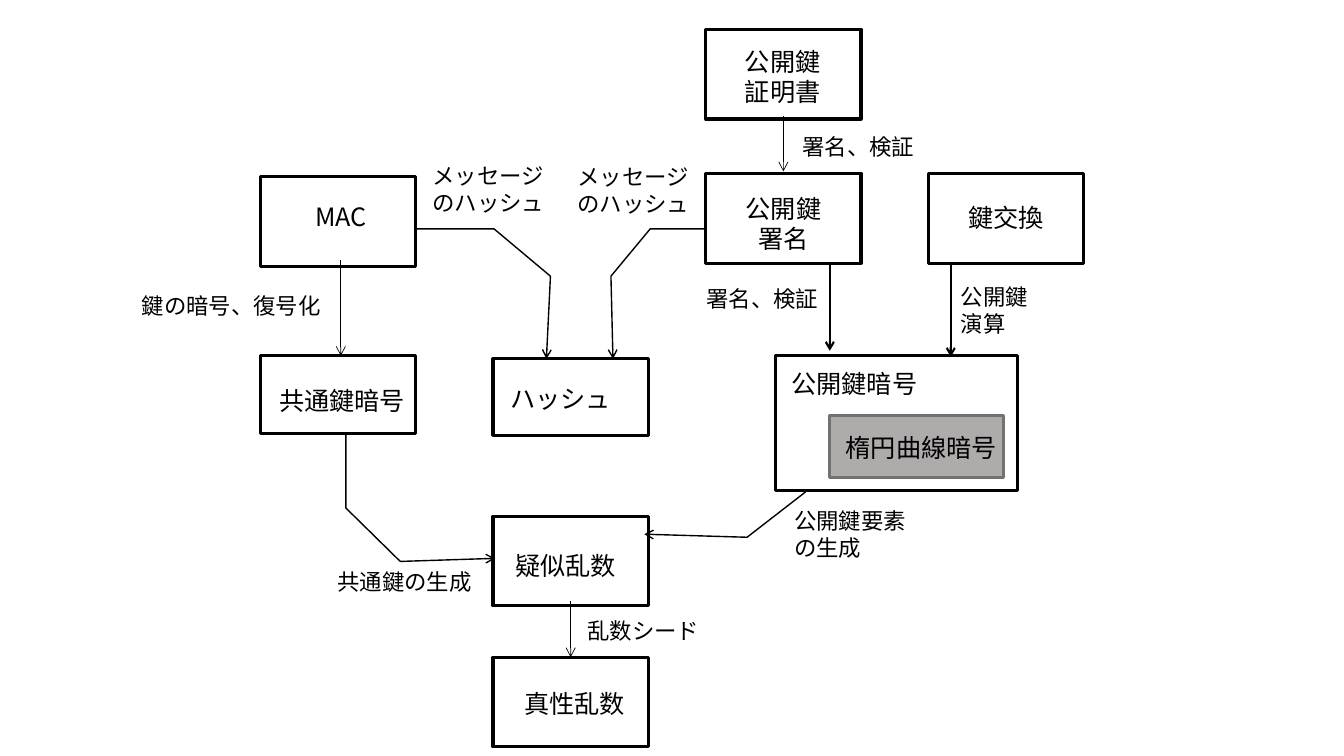
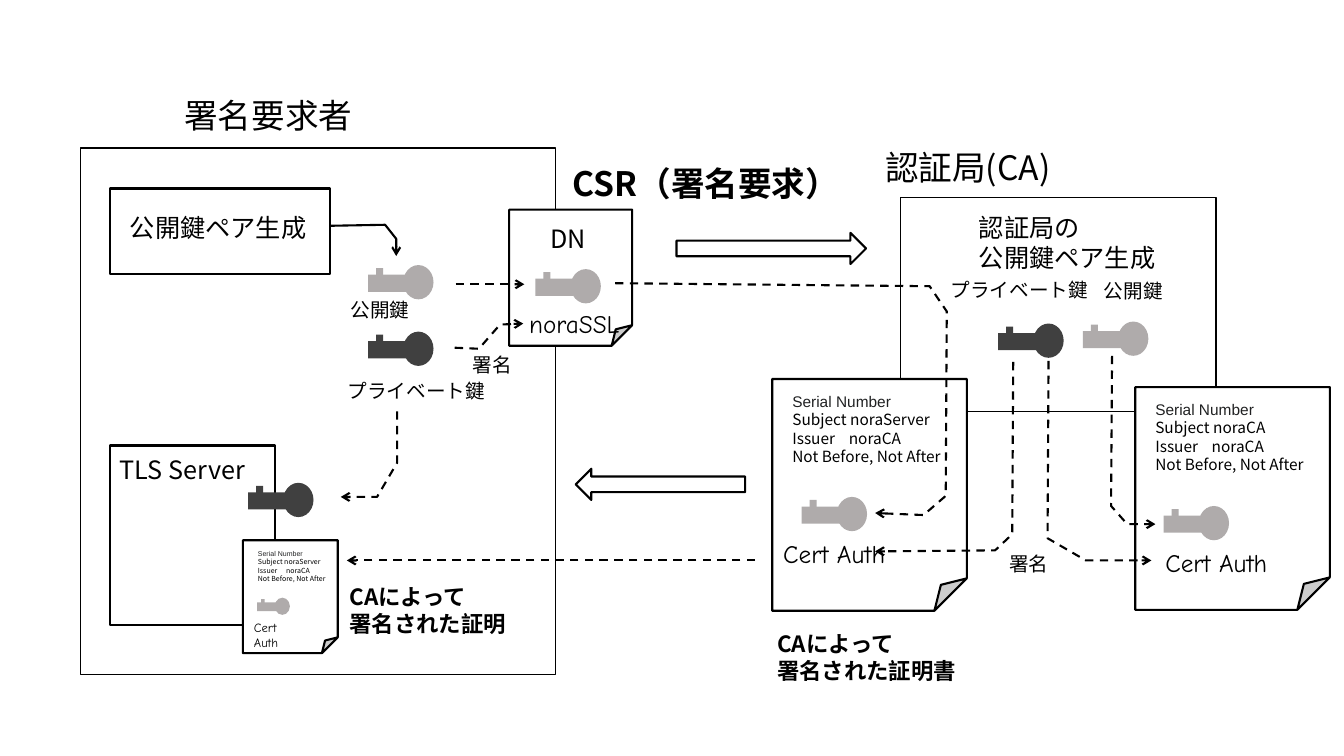
from lxml import etree
from pptx import Presentation
from pptx.dml.color import RGBColor
from pptx.enum.dml import MSO_LINE
from pptx.enum.shapes import MSO_CONNECTOR, MSO_SHAPE
from pptx.enum.text import MSO_AUTO_SIZE, PP_ALIGN
from pptx.oxml.ns import qn
from pptx.util import Pt

PX = 9144  # EMU per px, 100 px to the inch
BLACK, WHITE, INK = "000000", "FFFFFF", "202122"
PUBLIC, PRIVATE, GREY_EDGE = "AFABAB", "404040", "767171"
SANS, HAND, ARIAL = "Noto Sans CJK JP", "Comic Neue", "Arial"
RECT, OVAL, FOLDED = MSO_SHAPE.RECTANGLE, MSO_SHAPE.OVAL, MSO_SHAPE.FOLDED_CORNER
RIGHT_ARROW, LEFT_ARROW = MSO_SHAPE.RIGHT_ARROW, MSO_SHAPE.LEFT_ARROW
STRAIGHT, DASH = MSO_CONNECTOR.STRAIGHT, MSO_LINE.DASH
LEFT, CENTER = PP_ALIGN.LEFT, PP_ALIGN.CENTER
GROW = MSO_AUTO_SIZE.SHAPE_TO_FIT_TEXT


def px(*values):
    return [round(v * PX) for v in values]


def rgb(value):
    return RGBColor.from_string(value)


def shape(shapes, kind, rect, fill=WHITE, line=BLACK, width=1.5):
    sp = shapes.add_shape(kind, *px(*rect))
    sp.shadow.inherit = False
    sp.fill.solid()
    sp.fill.fore_color.rgb = rgb(fill)
    if line:
        sp.line.color.rgb = rgb(line)
        sp.line.width = Pt(width)
    else:
        sp.line.fill.background()
    return sp


def arrow(shapes, points, width=1.5, dash=None):
    """Draw an arrow through the points: a connector if straight, else a freeform."""
    if len(points) == 2:
        sp = shapes.add_connector(STRAIGHT, *px(*points[0], *points[1]))
    else:
        builder = shapes.build_freeform(*points[0], scale=PX)
        builder.add_line_segments(points[1:], close=False)
        sp = builder.convert_to_shape()
        sp.fill.background()
    sp.line.color.rgb = rgb(BLACK)
    sp.line.width = Pt(width)
    if dash:
        sp.line.dash_style = dash
    etree.SubElement(sp.line._get_or_add_ln(), qn("a:tailEnd"), type="arrow")
    etree.SubElement(sp._element.spPr, qn("a:effectLst"))


def text(shapes, at, content, size=18, font=SANS, bold=False, align=LEFT, wrap=False):
    """Add text at (left, top, width), one paragraph per line of content."""
    lines = content.split("\n")
    height = 10 + len(lines) * size * 1.2 / 0.72
    tf = shapes.add_textbox(*px(*at, height)).text_frame
    tf.word_wrap = wrap
    tf.auto_size = GROW
    for i, line in enumerate(lines):
        p = tf.add_paragraph() if i else tf.paragraphs[0]
        p.alignment = align
        p.line_spacing = Pt(size * 1.2)
        r = p.add_run()
        r.text = line
        r.font.color.rgb = rgb(BLACK)
        for name, value in {"size": Pt(size), "name": font, "bold": bold}.items():
            setattr(r.font, name, value)
        etree.SubElement(r._r.get_or_add_rPr(), qn("a:ea"), typeface=font)
    return tf


def key(shapes, x, y, color, scale=1):
    group = shapes.add_group_shape().shapes
    parts = ((OVAL, 35, 0, 30, 34), (RECT, 0, 9.5, 38, 17), (RECT, 8, 3, 7, 10))
    for kind, dx, dy, w, h in parts:
        rect = (x + dx * scale, y + dy * scale, w * scale, h * scale)
        shape(group, kind, rect, color, None)


def certificate(shapes, rect, key_at, sign_at, subject, scale=1):
    shape(shapes, FOLDED, rect)
    key(shapes, *key_at, PUBLIC, scale)
    text(shapes, (*sign_at, 130 * scale), "Cert Auth", int(18 * scale), HAND, wrap=True)
    details = f"Serial Number\nSubject {subject}\nIssuer\tnoraCA\nNot Before, Not After"
    at = (rect[0] + 10 * scale, rect[1] + 8 * scale, 185 * scale)
    tf = text(shapes, at, details, int(11 * scale), wrap=True)
    serial, issuer = tf.paragraphs[0].runs[0].font, tf.paragraphs[2]
    serial.name = ARIAL
    serial.color.rgb = rgb(INK)
    tabs = etree.SubElement(issuer._p.get_or_add_pPr(), qn("a:tabLst"))
    etree.SubElement(tabs, qn("a:tab"), pos=str(px(56 * scale)[0]), algn="l")


def crypto_elements(shapes):
    boxes = (
        (258, 175, 154, 89), (258, 353, 154, 77), (489, 512, 154, 89),
        (489, 652, 154, 89), (489, 356, 154, 76), (700, 29, 154, 89),
        (700, 172, 154, 89), (921, 172, 154, 89), (769, 353, 240, 134),
    )
    for rect in boxes:
        shape(shapes, RECT, rect, width=2.25)
    shape(shapes, RECT, (823, 412, 172, 62), PUBLIC, GREY_EDGE, 2.25)

    arrows = (
        (0.5, (338, 258), (338, 353)),
        (0.5, (566, 596), (566, 652)),
        (0.5, (777, 115), (777, 170)),
        (1.5, (823, 261), (823, 348)),
        (1.5, (943, 261), (943, 354)),
        (1, (343, 430), (343, 504), (397, 557), (491, 554)),
        (1, (799, 488), (741, 533), (639, 530)),
        (1, (700, 227), (645, 227), (606, 274), (608, 356)),
        (1, (413, 227), (490, 227), (546, 274), (542, 356)),
    )
    for width, *points in arrows:
        arrow(shapes, points, width)

    names = (
        ((300, 195, 77), "MAC", CENTER),
        ((267, 377, 146), "共通鍵暗号", LEFT),
        ((496, 375, 121), "ハッシュ", LEFT),
        ((510, 678, 121), "真性乱数", LEFT),
        ((501, 541, 121), "疑似乱数", LEFT),
        ((729, 41, 96), "公開鍵\n証明書", LEFT),
        ((775, 361, 146), "公開鍵暗号", LEFT),
        ((829, 424, 172), "楕円曲線暗号", LEFT),
        ((729, 187, 96), "公開鍵\n署名", CENTER),
        ((950, 196, 96), "鍵交換", CENTER),
    )
    for at, content, align in names:
        text(shapes, at, content, align=align)

    uses = (
        ((573, 607, 132), "乱数シード"),
        ((325, 559, 155), "共通鍵の生成"),
        ((778, 498, 132), "公開鍵要素\nの生成"),
        ((131, 285, 200), "鍵の暗号、復号化"),
        ((563, 157, 132), "メッセージ\nのハッシュ"),
        ((419, 156, 132), "メッセージ\nのハッシュ"),
        ((786, 127, 132), "署名、検証"),
        ((691, 278, 132), "署名、検証"),
        ((943, 276, 88), "公開鍵\n演算"),
    )
    for at, content in uses:
        text(shapes, at, content, 16)


def signing_request(shapes):
    shape(shapes, RECT, (80, 147, 471, 522), width=1)
    shape(shapes, RECT, (893, 196, 313, 212), width=1)
    shape(shapes, FOLDED, (505, 208, 122, 135))
    shape(shapes, RECT, (109, 187, 218, 85))
    shape(shapes, RECT, (109, 442, 164, 178))
    shape(shapes, RIGHT_ARROW, (671, 231, 188, 31))
    shape(shapes, LEFT_ARROW, (571, 465, 168, 31))

    certificate(shapes, (766, 376, 193, 230), (795, 493), (767, 529), "noraServer")
    certificate(shapes, (1126, 384, 193, 221), (1154, 502), (1146, 538), "noraCA")
    certificate(shapes, (241, 536, 94, 112), (255, 593), (242, 610), "noraServer", 0.5)

    keys = (
        (365, 263, PUBLIC), (365, 329, PRIVATE), (531, 267, PUBLIC),
        (1074, 319, PUBLIC), (990, 321, PRIVATE), (246, 479, PRIVATE),
    )
    for x, y, color in keys:
        key(shapes, x, y, color)

    arrow(shapes, [(328, 224), (382, 223), (393, 237), (393, 254)])
    dashed = (
        ((451, 345), (475, 346), (496, 322), (519, 321)),
        ((452, 282), (520, 282)),
        ((1040, 358), (1039, 534), (1077, 556), (1142, 556)),
        ((1103, 353), (1102, 502), (1118, 520), (1146, 520)),
        ((1005, 359), (1004, 530), (987, 546), (868, 547)),
        ((610, 281), (922, 284), (939, 309), (938, 492), (916, 511), (868, 509)),
        ((394, 408), (394, 459), (374, 493), (338, 493)),
        ((749, 556), (344, 556)),
    )
    for points in dashed:
        arrow(shapes, points, dash=DASH)

    labels = (
        ((119, 206, 197), "公開鍵ペア生成", 18),
        ((109, 446, 149), "TLS Server", 18),
        ((961, 206, 197), "認証局の\n公開鍵ペア生成", 18),
        ((338, 291, 79), "公開鍵", 14),
        ((335, 371, 158), "プライベート鍵", 14),
        ((1085, 272, 79), "公開鍵", 14),
        ((933, 271, 158), "プライベート鍵", 14),
        ((991, 543, 59), "署名", 14),
        ((459, 345, 59), "署名", 14),
    )
    for at, content, size in labels:
        text(shapes, at, content, size)

    captions = (
        ((536, 217, 63), "DN", 18, SANS, False),
        ((515, 301, 130), "noraSSL", 18, HAND, False),
        ((173, 89, 387), "署名要求者", 24, SANS, False),
        ((868, 141, 387), "認証局(CA)", 24, SANS, False),
        ((558, 157, 295), "CSR（署名要求）", 24, SANS, True),
        ((337, 574, 213), "CAによって\n署名された証明", 16, SANS, True),
        ((761, 620, 213), "CAによって\n署名された証明書", 16, SANS, True),
    )
    for at, content, size, font, bold in captions:
        text(shapes, at, content, size, font, bold, wrap=True)


def main():
    prs = Presentation()
    prs.slide_width, prs.slide_height = px(1333, 750)
    blank = prs.slide_layouts[6]
    for draw in (crypto_elements, signing_request):
        draw(prs.slides.add_slide(blank).shapes)
    prs.save("out.pptx")


if __name__ == "__main__":
    main()
